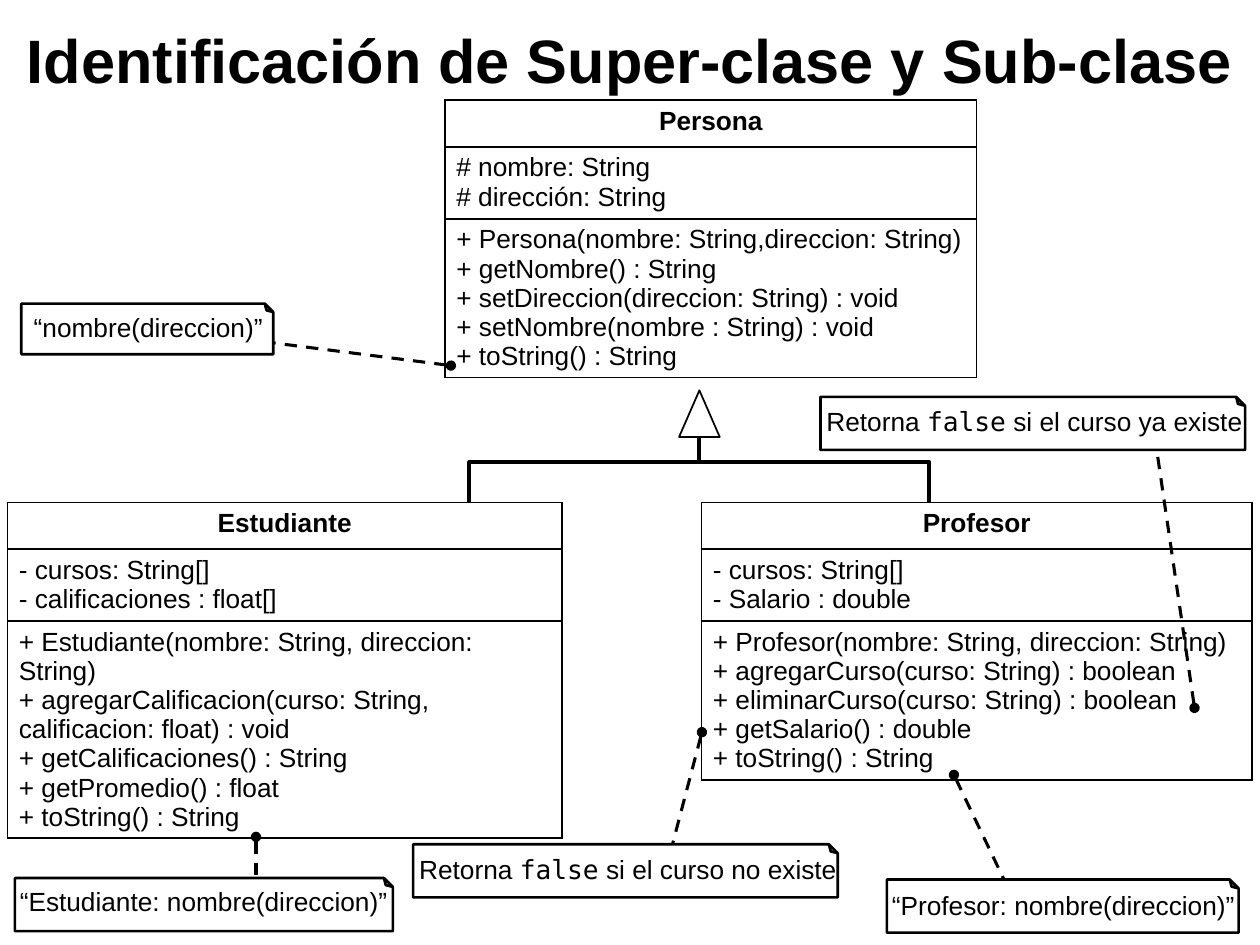
"""Build a class diagram slide showing a superclass and its two subclasses."""
from dataclasses import dataclass

from lxml import etree
from pptx import Presentation
from pptx.dml.color import RGBColor
from pptx.enum.dml import MSO_LINE
from pptx.enum.shapes import MSO_CONNECTOR, MSO_SHAPE
from pptx.enum.text import MSO_ANCHOR, MSO_AUTO_SIZE, PP_ALIGN
from pptx.oxml import parse_xml
from pptx.oxml.ns import nsdecls, qn
from pptx.util import Cm, Pt

STRAIGHT, ELBOW = MSO_CONNECTOR.STRAIGHT, MSO_CONNECTOR.ELBOW
TRIANGLE, NOTE = MSO_SHAPE.ISOSCELES_TRIANGLE, MSO_SHAPE.FOLDED_CORNER
CENTER, LEFT = PP_ALIGN.CENTER, PP_ALIGN.LEFT
MIDDLE = MSO_ANCHOR.MIDDLE
NO_FIT, GROW = MSO_AUTO_SIZE.NONE, MSO_AUTO_SIZE.SHAPE_TO_FIT_TEXT
DASH = MSO_LINE.DASH


@dataclass
class Theme:
    ink: RGBColor = RGBColor(0, 0, 0)
    paper: RGBColor = RGBColor(255, 255, 255)
    font: str = "Arial"
    mono: str = "DejaVu Sans Mono"
    title: Pt = Pt(35)
    body: Pt = Pt(15)
    thin: Pt = Pt(1)
    note: Pt = Pt(1.5)
    link: Pt = Pt(1.75)
    tree: Pt = Pt(2.25)


T = Theme()


def style(p, size, bold=False):
    for r in p.runs:
        r.font.name = T.font
        r.font.size = size
        r.font.bold = bold
        r.font.color.rgb = T.ink


def connect(kind, points, width):
    s = slide.shapes.add_connector(kind, *[Cm(v) for v in points])
    s.line.color.rgb = T.ink
    s.line.width = width
    etree.SubElement(s._element.spPr, qn("a:effectLst"))
    return s


prs = Presentation()
prs.slide_width, prs.slide_height = Cm(25.4), Cm(19.05)
slide = prs.slides.add_slide(prs.slide_layouts[5])

title = slide.shapes.title
title.left, title.top, title.width, title.height = Cm(0), Cm(0), Cm(25.4), Cm(2.57)
tf = title.text_frame
tf.text = "Identificación de Super-clase y Sub-clase"
tf.word_wrap = True
tf.auto_size = NO_FIT
tf.vertical_anchor = MIDDLE
p = tf.paragraphs[0]
p.alignment = CENTER
p.line_spacing = 0.9
style(p, T.title, True)

axis, fork = 14.1, 9.32
s = slide.shapes.add_shape(TRIANGLE, Cm(axis - 0.41), Cm(7.87), Cm(0.82), Cm(0.94))
s.shadow.inherit = False
s.fill.solid()
s.fill.fore_color.rgb = T.paper
s.line.color.rgb = T.ink
s.line.width = T.thin
connect(STRAIGHT, (axis, 8.81, axis, fork), T.tree)
for x in (4.83, 23.37):
    connect(ELBOW, (axis, fork, x, 10.69), T.tree)

classes = [
    (8.97, 2.02, 10.72, 3.15, "Persona",
     ["# nombre: String", "# dirección: String"],
     ["+ Persona(nombre: String,direccion: String)", "+ getNombre() : String",
      "+ setDireccion(direccion: String) : void",
      "+ setNombre(nombre : String) : void", "+ toString() : String"]),
    (14.14, 10.13, 11.1, 3.15, "Profesor",
     ["- cursos: String[]", "- Salario : double"],
     ["+ Profesor(nombre: String, direccion: String)",
      "+ agregarCurso(curso: String) : boolean",
      "+ eliminarCurso(curso: String) : boolean",
      "+ getSalario() : double", "+ toString() : String"]),
    (0.15, 10.13, 11.18, 4.34, "Estudiante",
     ["- cursos: String[]", "- calificaciones : float[]"],
     ["+ Estudiante(nombre: String, direccion: String)",
      "+ agregarCalificacion(curso: String, calificacion: float) : void",
      "+ getCalificaciones() : String", "+ getPromedio() : float",
      "+ toString() : String"]),
]
for x, y, w, methods_h, name, fields, methods in classes:
    heights = (0.94, 1.45, methods_h)
    frame = slide.shapes.add_table(3, 1, Cm(x), Cm(y), Cm(w), Cm(sum(heights)))
    table = frame.table
    table.first_row = table.horz_banding = False
    for i, lines in enumerate(([name], fields, methods)):
        table.rows[i].height = Cm(heights[i])
        cell = table.cell(i, 0)
        cell.margin_left = cell.margin_right = Cm(0.23)
        cell.margin_top = cell.margin_bottom = Cm(0.13)
        cell.text_frame.text = "\n".join(lines)
        for p in cell.text_frame.paragraphs:
            p.alignment = LEFT if i else CENTER
            style(p, T.body, i == 0)
        for side in ("lnL", "lnR", "lnT", "lnB"):
            cell._tc.get_or_add_tcPr().append(parse_xml(
                f'<a:{side} {nsdecls("a")} w="{T.thin}"><a:solidFill>'
                f'<a:srgbClr val="{T.ink}"/></a:solidFill></a:{side}>'))
        cell.fill.solid()
        cell.fill.fore_color.rgb = T.paper

links = [
    (9.09, 7.37, 5.49, 6.91),
    (19.23, 15.62, 20.42, 18.11),
    (5.16, 16.87, 5.16, 18.08),
    (14.15, 14.76, 13.41, 17.58),
    (24.08, 14.27, 23.24, 8.53),
]
for points in links:
    s = connect(STRAIGHT, points, T.link)
    s.line.dash_style = DASH
    etree.SubElement(s.line._get_or_add_ln(), qn("a:headEnd"), type="oval")

notes = [
    (0.43, 6.12, 5.08, 1.02, 0, 0.03, ["“nombre(direccion)”"]),
    (17.88, 17.73, 7.09, 1.07, -0.15, 0.08, ["“Profesor: nombre(direccion)”"]),
    (0.3, 17.7, 7.62, 1.07, -0.15, 0.03, ["“Estudiante: nombre(direccion)”"]),
    (8.33, 17.02, 8.56, 1.07, -0.13, 0.05,
     ["Retorna ", "false", " si el curso no existe"]),
    (16.54, 8, 8.56, 1.07, -0.13, 0.05,
     ["Retorna ", "false", " si el curso ya existe"]),
]
for x, y, w, h, dx, dy, parts in notes:
    s = slide.shapes.add_shape(NOTE, Cm(x), Cm(y), Cm(w), Cm(h))
    s.rotation = 180
    s._element.spPr.xfrm.set("flipH", "1")
    s.shadow.inherit = False
    s.fill.solid()
    s.fill.fore_color.rgb = T.paper
    s.line.color.rgb = T.ink
    s.line.width = T.note

    box = slide.shapes.add_textbox(Cm(x + dx), Cm(y + dy), Cm(w + 0.43), Cm(0.89))
    tf = box.text_frame
    tf.word_wrap = True
    tf.auto_size = GROW
    p = tf.paragraphs[0]
    for part in parts:
        p.add_run().text = part
    style(p, T.body)
    for r in p.runs[1:2]:
        r.font.name = T.mono

prs.save("out.pptx")
